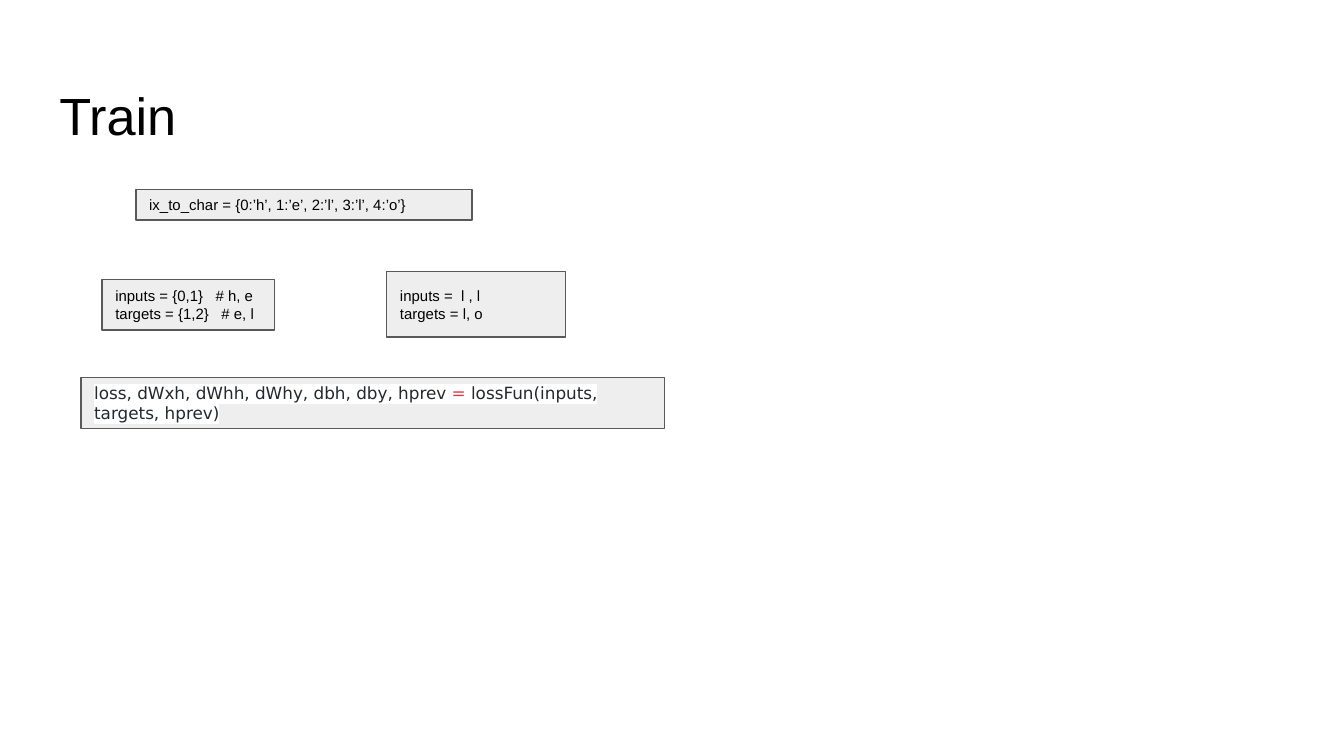
from lxml import etree
from pptx import Presentation
from pptx.dml.color import RGBColor
from pptx.enum.shapes import MSO_SHAPE
from pptx.enum.text import MSO_ANCHOR, MSO_AUTO_SIZE, PP_ALIGN
from pptx.oxml.ns import qn
from pptx.util import Cm, Pt

RECTANGLE = MSO_SHAPE.RECTANGLE
MIDDLE, TOP = MSO_ANCHOR.MIDDLE, MSO_ANCHOR.TOP
LEFT = PP_ALIGN.LEFT
NO_AUTOFIT = MSO_AUTO_SIZE.NONE

BLACK = RGBColor(0x00, 0x00, 0x00)
WHITE = RGBColor(0xFF, 0xFF, 0xFF)
PANEL = RGBColor(0xEE, 0xEE, 0xEE)
BORDER = RGBColor(0x59, 0x59, 0x59)
CODE = RGBColor(0x24, 0x29, 0x2E)
OPERATOR = RGBColor(0xD7, 0x3A, 0x49)

SANS = "Arial"
CODE_FONT = "DejaVu Sans"
INSET = Cm(0.25)
TITLE_TOP_INSET = Cm(0.34)
TITLE_BOTTOM_INSET = Cm(0.1)


def add_run(paragraph, text, size, color=BLACK, font=SANS, highlight=None):
    run = paragraph.add_run()
    run.text = text
    run.font.size = Pt(size)
    run.font.color.rgb = color
    if highlight is not None:
        mark = etree.Element(qn("a:highlight"))
        etree.SubElement(mark, qn("a:srgbClr"), val=str(highlight))
        run.font.fill._xPr.find(qn("a:solidFill")).addnext(mark)
    run.font.name = font


def set_frame(frame, anchor, top=INSET, bottom=INSET):
    frame.word_wrap = True
    frame.auto_size = NO_AUTOFIT
    frame.vertical_anchor = anchor
    frame.margin_left = frame.margin_right = INSET
    frame.margin_top, frame.margin_bottom = top, bottom
    frame.paragraphs[0].alignment = LEFT


def set_title(slide, text):
    title = slide.shapes.title
    title.left, title.top = Cm(0.87), Cm(1.24)
    title.width, title.height = Cm(23.67), Cm(1.6)
    set_frame(title.text_frame, TOP, TITLE_TOP_INSET, TITLE_BOTTOM_INSET)
    add_run(title.text_frame.paragraphs[0], text, 28)


def add_panel(slide, left, top, width, height):
    panel = slide.shapes.add_shape(
        RECTANGLE, Cm(left), Cm(top), Cm(width), Cm(height))
    panel.shadow.inherit = False
    panel.fill.solid()
    panel.fill.fore_color.rgb = PANEL
    panel.line.color.rgb = BORDER
    panel.line.width = Pt(0.75)
    set_frame(panel.text_frame, MIDDLE)
    return panel.text_frame


def add_note(slide, box, lines):
    frame = add_panel(slide, *box)
    for index, line in enumerate(lines):
        paragraph = frame.add_paragraph() if index else frame.paragraphs[0]
        paragraph.alignment = LEFT
        add_run(paragraph, line, 8)


def add_code(slide, box, pieces):
    paragraph = add_panel(slide, *box).paragraphs[0]
    for text, color in pieces:
        add_run(paragraph, text, 9, color, CODE_FONT, WHITE)


def main():
    presentation = Presentation()
    presentation.slide_width = Cm(25.4)
    presentation.slide_height = Cm(14.29)
    slide = presentation.slides.add_slide(presentation.slide_layouts[5])

    set_title(slide, "Train")
    add_note(slide, (1.93, 5.28, 3.26, 0.96),
             ["inputs = {0,1}   # h, e", "targets = {1,2}   # e, l"])
    add_code(slide, (1.53, 7.14, 11.03, 0.96), [
        ("loss, dWxh, dWhh, dWhy, dbh, dby, hprev ", CODE),
        ("=", OPERATOR),
        (" lossFun(inputs, targets, hprev)", CODE),
    ])
    add_note(slide, (7.31, 5.13, 3.38, 1.24),
             ["inputs =  l , l", "targets = l, o"])
    add_note(slide, (2.57, 3.58, 6.35, 0.58),
             ["ix_to_char = {0:’h’, 1:’e’, 2:’l’, 3:’l’, 4:’o’}"])

    presentation.save("out.pptx")


if __name__ == "__main__":
    main()
